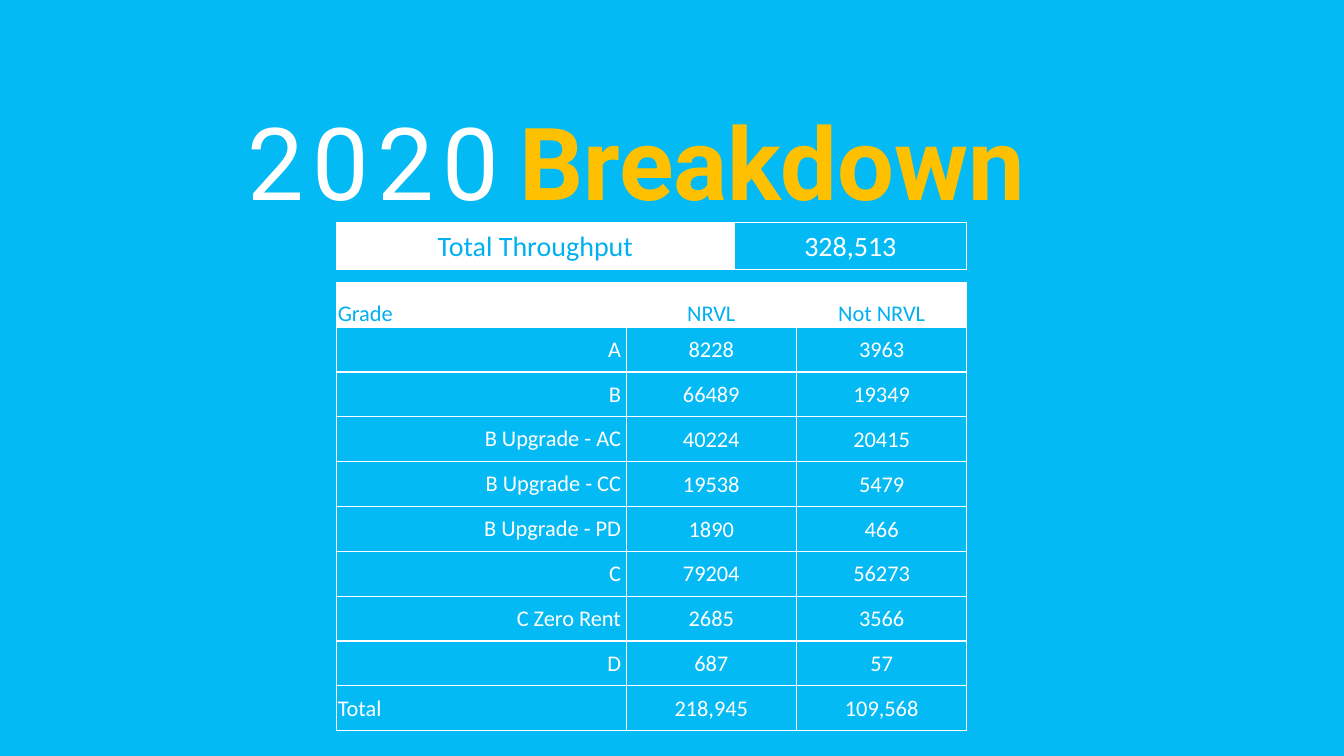
from dataclasses import dataclass

from lxml import etree
from pptx import Presentation, util as u
from pptx.dml.color import RGBColor
from pptx.enum import text
from pptx.oxml import ns

PX = 9144
LEFT, CENTER, RIGHT = text.PP_ALIGN.LEFT, text.PP_ALIGN.CENTER, text.PP_ALIGN.RIGHT
MIDDLE, BOTTOM = text.MSO_ANCHOR.MIDDLE, text.MSO_ANCHOR.BOTTOM


@dataclass(frozen=True)
class Theme:
    sky: str = "04BAF5"
    blue: str = "00B0F0"
    white: str = "FFFFFF"
    gold: str = "FFC000"
    title_font: str = "Roboto"
    table_font: str = "Calibri"
    title_size: int = 72
    total_size: int = 20
    grade_size: int = 16


THEME = Theme()


@dataclass(frozen=True)
class Heading:
    words: str
    left: int
    width: int
    color: str
    align: text.PP_ALIGN
    inset: int = 10
    bold: bool = False
    spacing: int = 0


@dataclass(frozen=True)
class Entry:
    words: str
    align: text.PP_ALIGN = CENTER
    anchor: text.MSO_ANCHOR = MIDDLE
    filled: bool = False
    insets: tuple[int, int, int, int] = (1, 1, 1, 0)


@dataclass(frozen=True)
class Grid:
    top: int
    height: int
    columns: tuple[int, ...]
    size: int
    rows: list[list[Entry]]


GRADES = [
    ("A", "8228", "3963"),
    ("B", "66489", "19349"),
    ("B Upgrade - AC", "40224", "20415"),
    ("B Upgrade - CC", "19538", "5479"),
    ("B Upgrade - PD", "1890", "466"),
    ("C", "79204", "56273"),
    ("C Zero Rent", "2685", "3566"),
    ("D", "687", "57"),
]

HEADINGS = [
    Heading("Breakdown", 405, 928, THEME.gold, LEFT, inset=110, bold=True),
    Heading("2020 ", 0, 774, THEME.white, CENTER, spacing=600),
]

grade_rows = [
    [Entry("Grade", LEFT, BOTTOM, True)]
    + [Entry(name, CENTER, BOTTOM, True) for name in ("NRVL", "Not NRVL")],
    *[
        [Entry(grade, RIGHT, insets=(5, 5, 5, 5)), *map(Entry, counts)]
        for grade, *counts in GRADES
    ],
    [Entry("Total", LEFT), Entry("218,945"), Entry("109,568")],
]
throughput_row = [Entry("Total Throughput", filled=True), Entry("328,513")]

GRIDS = [
    Grid(280, 445, (287, 169, 169), THEME.grade_size, grade_rows),
    Grid(221, 46, (394, 231), THEME.total_size, [throughput_row]),
]
GRID_LEFT = 334


def add_words(paragraph, words: str, font: str, size: int, color: str):
    run = paragraph.add_run()
    run.text = words
    run.font.name = font
    run.font.size = u.Pt(size)
    run.font.color.rgb = RGBColor.from_string(color)
    return run


def draw_heading(slide, heading: Heading) -> None:
    box = slide.shapes.add_textbox(
        heading.left * PX, 94 * PX, heading.width * PX, 131 * PX
    )
    frame = box.text_frame
    frame.word_wrap = True
    frame.auto_size = text.MSO_AUTO_SIZE.SHAPE_TO_FIT_TEXT
    frame.margin_left = heading.inset * PX
    paragraph = frame.paragraphs[0]
    paragraph.alignment = heading.align
    run = add_words(
        paragraph, heading.words, THEME.title_font, THEME.title_size, heading.color
    )
    run.font.bold = heading.bold
    if heading.spacing:
        run.font._element.set("spc", str(heading.spacing))


def add_borders(cell) -> None:
    properties = cell._tc.get_or_add_tcPr()
    for side in ("a:lnL", "a:lnR", "a:lnT", "a:lnB"):
        line = etree.SubElement(properties, ns.qn(side), w=str(u.Pt(1)))
        fill = etree.SubElement(line, ns.qn("a:solidFill"))
        etree.SubElement(fill, ns.qn("a:srgbClr"), val=THEME.white)


def draw_entry(cell, entry: Entry, size: int) -> None:
    add_borders(cell)
    if entry.filled:
        cell.fill.solid()
        cell.fill.fore_color.rgb = RGBColor.from_string(THEME.white)
    else:
        cell.fill.background()
    cell.vertical_anchor = entry.anchor
    left, top, right, bottom = (inset * PX for inset in entry.insets)
    cell.margin_left, cell.margin_top = left, top
    cell.margin_right, cell.margin_bottom = right, bottom
    paragraph = cell.text_frame.paragraphs[0]
    paragraph.alignment = entry.align
    color = THEME.blue if entry.filled else THEME.white
    add_words(paragraph, entry.words, THEME.table_font, size, color)


def draw_grid(slide, grid: Grid) -> None:
    table = slide.shapes.add_table(
        len(grid.rows),
        len(grid.columns),
        GRID_LEFT * PX,
        grid.top * PX,
        sum(grid.columns) * PX,
        grid.height * PX,
    ).table
    table.first_row = table.horz_banding = False
    for column, width in zip(table.columns, grid.columns):
        column.width = width * PX
    for row, entries in zip(table.rows, grid.rows):
        for cell, entry in zip(row.cells, entries):
            draw_entry(cell, entry, grid.size)


def main() -> None:
    deck = Presentation()
    deck.slide_width, deck.slide_height = 1333 * PX, 750 * PX
    slide = deck.slides.add_slide(deck.slide_layouts[6])
    slide.background.fill.solid()
    slide.background.fill.fore_color.rgb = RGBColor.from_string(THEME.sky)
    for heading in HEADINGS:
        draw_heading(slide, heading)
    for grid in GRIDS:
        draw_grid(slide, grid)
    deck.save("out.pptx")


if __name__ == "__main__":
    main()
